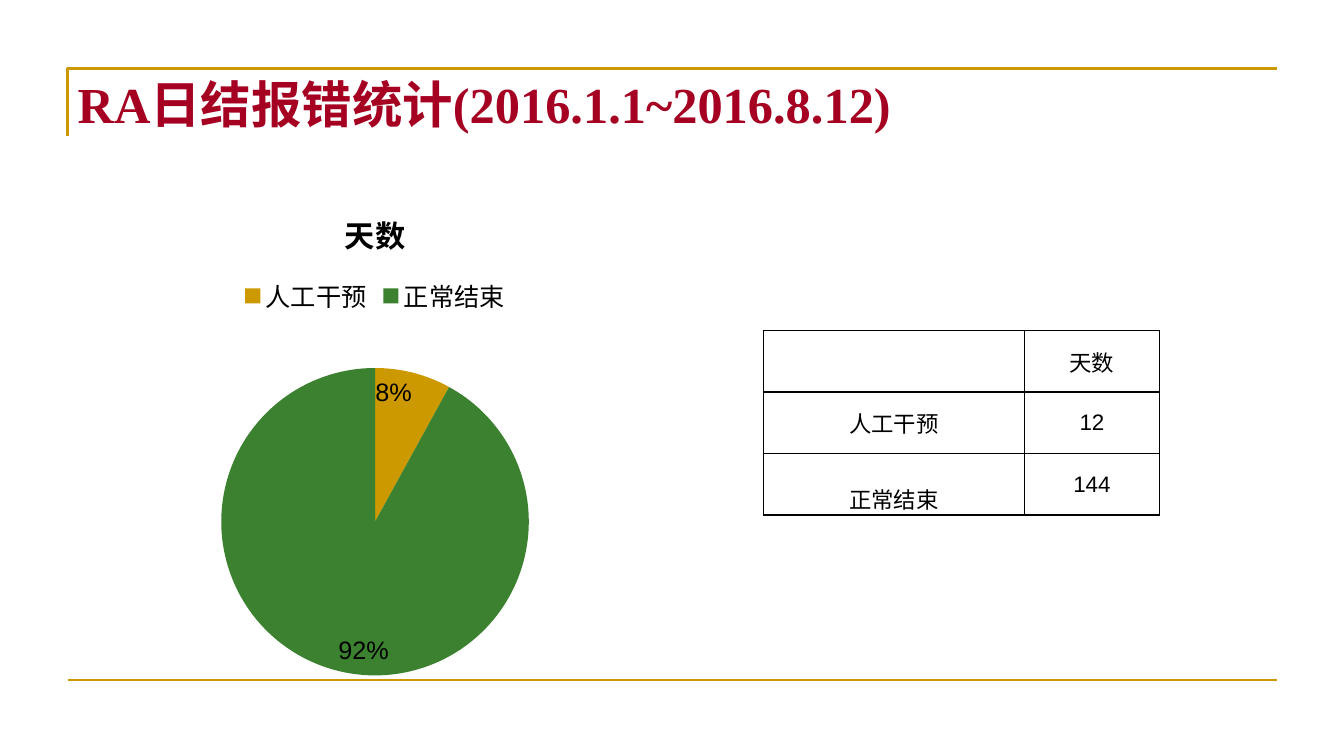
import lxml.etree
import pptx
import pptx.chart.data
import pptx.dml.color
import pptx.enum.chart
import pptx.enum.shapes
import pptx.enum.text
import pptx.oxml
import pptx.oxml.ns
import pptx.util
from pptx.util import Inches

GOLD, GREEN, RED, BLACK = "CC9900", "3B812F", "A50021", "000000"
MIDDLE = pptx.enum.text.MSO_ANCHOR.MIDDLE
BOTTOM = pptx.enum.text.MSO_ANCHOR.BOTTOM


def color(value):
    return pptx.dml.color.RGBColor.from_string(value)


def set_format(target, values):
    for name, value in values.items():
        setattr(target, name, value)


class SlideBuilder:
    font_name = "Arial"
    rule_width = 1.5
    border_width = 1

    def __init__(self, presentation):
        self.slide = presentation.slides.add_slide(presentation.slide_layouts[5])
        self.shapes = self.slide.shapes

    def style_font(self, font, size, value=BLACK, bold=False, name=None):
        set_format(font, {"name": name or self.font_name,
                          "size": pptx.util.Pt(size), "bold": bold})
        font.color.rgb = color(value)

    def style_line(self, shape):
        shape.line.color.rgb = color(GOLD)
        shape.line.width = pptx.util.Pt(self.rule_width)

    def title(self, text, left, top, width, height):
        title = self.shapes.title
        set_format(title, {"left": Inches(left), "top": Inches(top),
                           "width": Inches(width), "height": Inches(height)})
        frame = title.text_frame
        set_format(frame, {"text": text, "word_wrap": True,
                           "vertical_anchor": pptx.enum.text.MSO_ANCHOR.TOP,
                           "auto_size": pptx.enum.text.MSO_AUTO_SIZE.NONE})
        paragraph = frame.paragraphs[0]
        paragraph.alignment = pptx.enum.text.PP_ALIGN.LEFT
        self.style_font(paragraph.runs[0].font, 36, RED, True, "Times New Roman")

    def corner(self, left, top, right, bottom):
        """Draw an open outline up the left side and along the top."""
        builder = self.shapes.build_freeform(Inches(left), Inches(bottom))
        builder.add_line_segments([(Inches(left), Inches(top)),
                                   (Inches(right), Inches(top))], close=False)
        shape = builder.convert_to_shape()
        shape.shadow.inherit = False
        shape.fill.background()
        self.style_line(shape)

    def rule(self, left, right, y):
        line = self.shapes.add_connector(
            pptx.enum.shapes.MSO_CONNECTOR.STRAIGHT,
            Inches(left), Inches(y), Inches(right), Inches(y))
        self.style_line(line)
        lxml.etree.SubElement(line._element.spPr, pptx.oxml.ns.qn("a:effectLst"))

    def border(self, cell):
        properties = cell._tc.get_or_add_tcPr()
        width = pptx.util.Pt(self.border_width)
        for index, side in enumerate(("lnL", "lnR", "lnT", "lnB")):
            properties.insert(index, pptx.oxml.parse_xml(
                f'<a:{side} {pptx.oxml.ns.nsdecls("a")} w="{width}"><a:solidFill>'
                f'<a:srgbClr val="{BLACK}"/></a:solidFill></a:{side}>'))

    def table(self, rows, left, top, widths, row_height, anchors):
        """Draw a bordered table; anchors maps (row, column) to an anchor other than middle."""
        table = self.shapes.add_table(
            len(rows), len(widths), Inches(left), Inches(top),
            Inches(sum(widths)), Inches(row_height * len(rows))).table
        set_format(table, {"first_row": False, "horz_banding": False})
        for column, width in zip(table.columns, widths):
            column.width = Inches(width)
        for r, row in enumerate(rows):
            for c, text in enumerate(row):
                cell = table.cell(r, c)
                set_format(cell, {"text": text, "margin_left": 0, "margin_right": 0,
                                  "margin_top": 0, "margin_bottom": 0,
                                  "vertical_anchor": anchors.get((r, c), MIDDLE)})
                cell.fill.background()
                self.border(cell)
                paragraph = cell.text_frame.paragraphs[0]
                paragraph.alignment = pptx.enum.text.PP_ALIGN.CENTER
                self.style_font(paragraph.font, 16)

    def pie(self, name, values, colors, left, top, width, height, plot):
        """Draw a pie; plot holds the x, y, w and h fractions of its inner area."""
        data = pptx.chart.data.CategoryChartData()
        data.categories = list(values)
        data.add_series(name, list(values.values()))
        chart = self.shapes.add_chart(
            pptx.enum.chart.XL_CHART_TYPE.PIE, Inches(left), Inches(top),
            Inches(width), Inches(height), data).chart
        self.style_font(chart.font, 18)
        chart.has_title = True
        chart.chart_title.text_frame.text = name
        self.style_font(chart.chart_title.text_frame.paragraphs[0].runs[0].font,
                        21.6, bold=True)
        chart.has_legend = True
        set_format(chart.legend, {
            "position": pptx.enum.chart.XL_LEGEND_POSITION.TOP,
            "include_in_layout": False})
        pie = chart.plots[0]
        pie.vary_by_categories = True
        for index, value in enumerate(colors):
            fill = pie.series[0].points[index].format.fill
            fill.solid()
            fill.fore_color.rgb = color(value)
        pie.has_data_labels = True
        set_format(pie.data_labels, {
            "show_percentage": True, "show_value": False,
            "number_format": "0%", "number_format_is_linked": False,
            "position": pptx.enum.chart.XL_LABEL_POSITION.INSIDE_END})
        self.style_font(pie.data_labels.font, 18)
        self.place_plot(chart, plot)

    def place_plot(self, chart, plot):
        area = chart._chartSpace.chart.plotArea
        for layout in area.findall(pptx.oxml.ns.qn("c:layout")):
            area.remove(layout)
        modes = '<c:xMode val="edge"/><c:yMode val="edge"/>'
        sizes = "".join(f'<c:{key} val="{value}"/>' for key, value in plot.items())
        area.insert(0, pptx.oxml.parse_xml(
            f'<c:layout {pptx.oxml.ns.nsdecls("c")}><c:manualLayout>'
            f'<c:layoutTarget val="inner"/>{modes}{sizes}'
            '</c:manualLayout></c:layout>'))


def main():
    presentation = pptx.Presentation()
    set_format(presentation, {"slide_width": Inches(13.33), "slide_height": Inches(7.5)})
    builder = SlideBuilder(presentation)
    left, right, top = 0.67, 12.67, 0.68
    builder.corner(left, top, right, 1.35)
    builder.rule(left, right, 6.75)
    builder.title("RA日结报错统计(2016.1.1~2016.8.12)", left, top, right - left, 1.25)
    builder.table([("", "天数"), ("人工干预", "12"), ("正常结束", "144")],
                  7.57, 3.28, (2.59, 1.34), 0.61, {(2, 0): BOTTOM})
    builder.pie("天数", {"人工干预": 8, "正常结束": 92}, (GOLD, GREEN),
                left, 1.86, 6.1, 4.95, {"x": 0.25, "y": 0.36, "w": 0.5, "h": 0.62})
    presentation.save("out.pptx")


if __name__ == "__main__":
    main()
